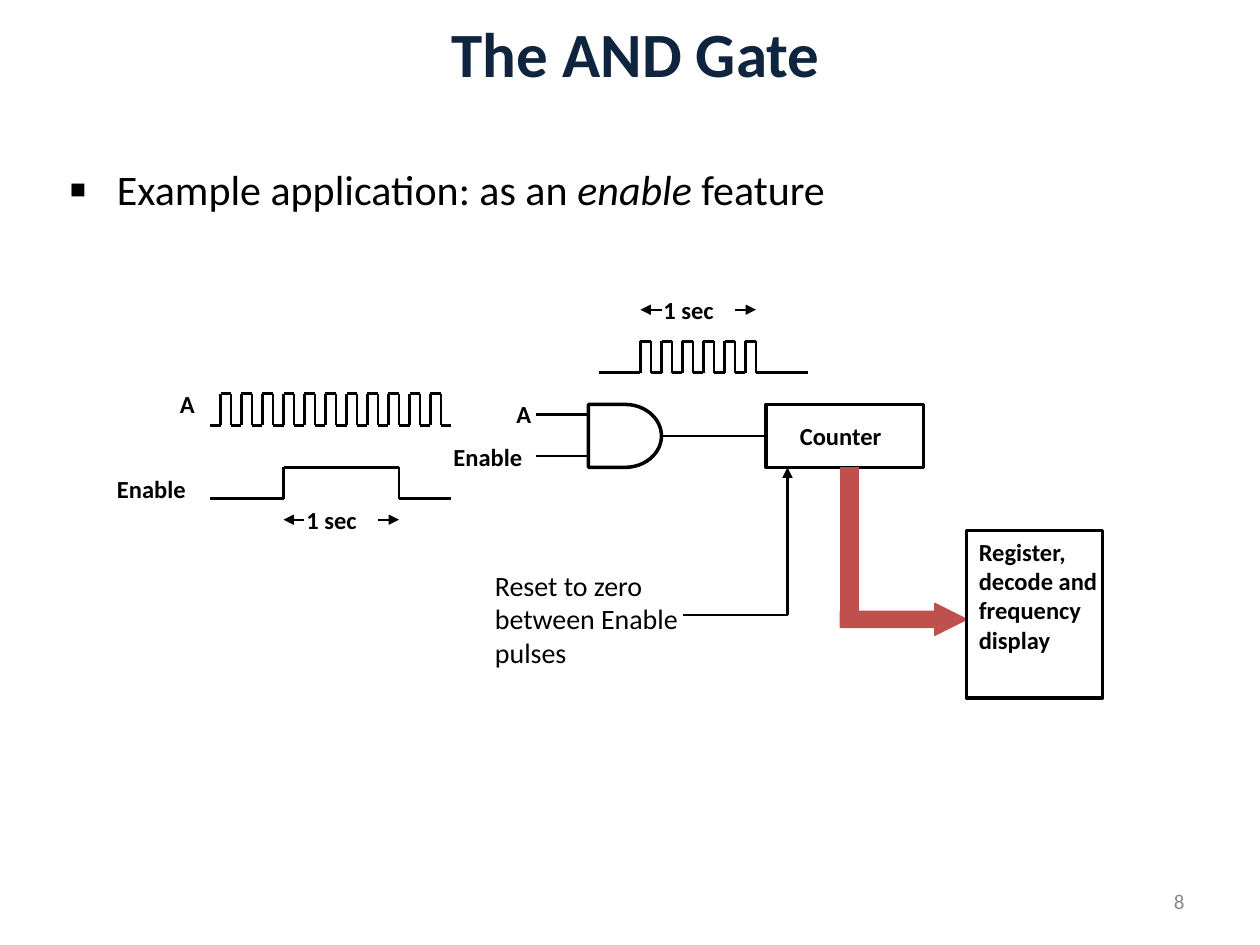
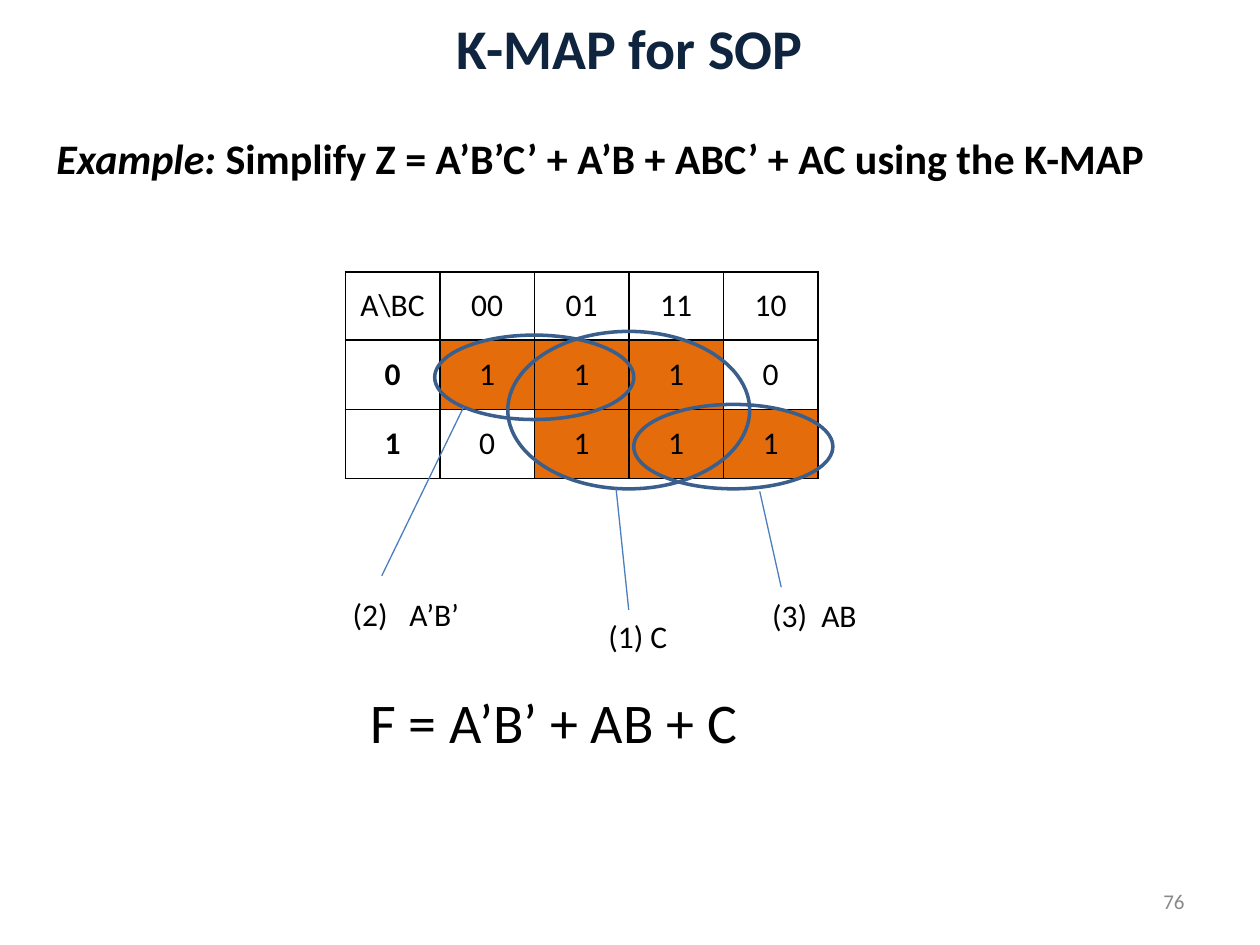
"""Build two digital logic slides: an AND gate as an enable, and a K-map."""
from dataclasses import dataclass

from lxml import etree
from pptx import Presentation
from pptx import util as u
from pptx.dml import color
from pptx.enum import shapes, text
from pptx.oxml import ns

FONT = "Calibri"
BLACK = color.RGBColor(0x00, 0x00, 0x00)
WHITE = color.RGBColor(0xFF, 0xFF, 0xFF)
NAVY = color.RGBColor(0x0F, 0x24, 0x3E)
GREY = color.RGBColor(0x89, 0x89, 0x89)
RED = color.RGBColor(0xC0, 0x50, 0x4D)
ORANGE = color.RGBColor(0xE4, 0x6C, 0x0A)
LOOP_BLUE = color.RGBColor(0x3A, 0x5F, 0x8C)
LEADER_BLUE = color.RGBColor(0x4B, 0x7E, 0xBC)
STEP = 1 / 12
PULSE_HEIGHT = 3
LEFT, CENTER, RIGHT = text.PP_ALIGN.LEFT, text.PP_ALIGN.CENTER, text.PP_ALIGN.RIGHT
KIND = shapes.MSO_SHAPE


@dataclass(frozen=True)
class Span:
    """A run of text with its own emphasis."""
    words: str
    bold: bool = False
    italic: bool = False


@dataclass(frozen=True)
class Label:
    """A text box: place in inches, spans, size in points."""
    place: tuple[float, float, float, float]
    spans: tuple[Span, ...]
    size: float = 14
    ink: color.RGBColor = BLACK
    align: text.PP_ALIGN = LEFT
    middle: bool = False
    tab: float = 0


@dataclass(frozen=True)
class Figure:
    """A preset shape: place in inches, outline and fill."""
    kind: shapes.MSO_SHAPE
    place: tuple[float, float, float, float]
    outline: color.RGBColor = BLACK
    weight: float = 2
    fill: color.RGBColor | None = None
    adjustments: tuple[float, ...] = ()


@dataclass(frozen=True)
class Wire:
    """Straight segments through points in inches, with an optional arrowhead."""
    points: tuple[tuple[float, float], ...]
    ink: color.RGBColor = BLACK
    weight: float = 1.5
    arrow: bool = False


@dataclass(frozen=True)
class PulseTrain:
    """A square wave measured in grid steps."""
    left: float
    first_rise: float
    right: float
    low: float
    count: int = 1
    width: float = 1


def inches(values) -> list[int]:
    """Convert numbers of inches to lengths."""
    return [u.Inches(value) for value in values]


def add_span(para, span: Span, size: float, ink: color.RGBColor) -> None:
    """Append one formatted run."""
    run = para.add_run()
    run.text = span.words
    font = run.font
    font.name, font.size = FONT, u.Pt(size)
    font.bold, font.italic = span.bold, span.italic
    font.color.rgb = ink


def add_label(page, label: Label):
    """Draw a text box and return its paragraph."""
    box = page.shapes.add_textbox(*inches(label.place))
    frame = box.text_frame
    frame.word_wrap = True
    if label.middle:
        frame.vertical_anchor = text.MSO_ANCHOR.MIDDLE
    para = frame.paragraphs[0]
    para.alignment = label.align
    if label.tab:
        stops = etree.SubElement(para._p.get_or_add_pPr(), ns.qn("a:tabLst"))
        etree.SubElement(stops, ns.qn("a:tab"), pos=str(u.Inches(label.tab)), algn="l")
    for span in label.spans:
        add_span(para, span, label.size, label.ink)
    return para


def add_figure(page, figure: Figure) -> None:
    """Draw a preset shape."""
    shape = page.shapes.add_shape(figure.kind, *inches(figure.place))
    shape.shadow.inherit = False
    if figure.fill is None:
        shape.fill.background()
    else:
        shape.fill.solid()
        shape.fill.fore_color.rgb = figure.fill
    shape.line.color.rgb = figure.outline
    shape.line.width = u.Pt(figure.weight)
    for index, value in enumerate(figure.adjustments):
        shape.adjustments[index] = value


def add_wire(page, wire: Wire) -> None:
    """Draw each segment of a wire, with any arrowhead on the last."""
    for start, end in zip(wire.points, wire.points[1:]):
        segment = page.shapes.add_connector(
            shapes.MSO_CONNECTOR.STRAIGHT, *inches(start + end))
        segment.line.color.rgb = wire.ink
        segment.line.width = u.Pt(wire.weight)
        properties = segment.element.spPr
        if wire.arrow and end == wire.points[-1]:
            outline = properties.find(ns.qn("a:ln"))
            etree.SubElement(outline, ns.qn("a:tailEnd"), type="triangle")
        etree.SubElement(properties, ns.qn("a:effectLst"))


def add_pulses(page, train: PulseTrain) -> None:
    """Draw a square wave."""
    low, high = train.low, train.low - PULSE_HEIGHT
    points = [(train.left, low)]
    for pulse in range(train.count):
        rise = train.first_rise + 2 * pulse * train.width
        fall = rise + train.width
        points += [(rise, low), (rise, high), (fall, high), (fall, low)]
    points.append((train.right, low))
    add_wire(page, Wire(tuple((x * STEP, y * STEP) for x, y in points)))


def add_duration(page, left: float, middle: float) -> None:
    """Mark an eleven-step interval as one second."""
    right, y = left + 11, middle * STEP
    for inner, outer in ((left + 2, left), (right - 2, right)):
        add_wire(page, Wire(((inner * STEP, y), (outer * STEP, y)), weight=1, arrow=True))
    place = ((left + 1) * STEP, (middle - 2) * STEP, 0.75, 0.33)
    add_label(page, Label(place, (Span("1 sec", bold=True),)))


def add_page(deck, title: str, place, size: float, number: int):
    """Add a slide with its title and page number."""
    page = deck.slides.add_slide(deck.slide_layouts[5])
    heading = page.shapes.title
    heading.left, heading.top, heading.width, heading.height = inches(place)
    heading.text_frame.vertical_anchor = text.MSO_ANCHOR.MIDDLE
    para = heading.text_frame.paragraphs[0]
    para.alignment = CENTER
    add_span(para, Span(title, bold=True), size, NAVY)
    add_label(page, Label((7.17, 6.95, 2.33, 0.4), (Span(str(number)),), 12,
                          GREY, RIGHT, middle=True))
    return page


def add_bullet(para) -> None:
    """Give a paragraph a square bullet and hanging indent."""
    properties = para._p.get_or_add_pPr()
    indent = u.Inches(0.38)
    properties.set("marL", str(indent))
    properties.set("indent", str(-indent))
    etree.SubElement(properties, ns.qn("a:buSzPct"), val="120000")
    etree.SubElement(properties, ns.qn("a:buFont"), typeface=FONT)
    etree.SubElement(properties, ns.qn("a:buChar"), char="▪")


def add_borders(cell) -> None:
    """Outline a cell with thin black lines."""
    properties = cell._tc.get_or_add_tcPr()
    for side in ("lnL", "lnR", "lnT", "lnB"):
        border = etree.SubElement(properties, ns.qn(f"a:{side}"), w=str(u.Pt(1)))
        paint = etree.SubElement(border, ns.qn("a:solidFill"))
        etree.SubElement(paint, ns.qn("a:srgbClr"), val=str(BLACK))


def add_kmap(page) -> None:
    """Draw the K-map, shading the cells that hold a one."""
    rows = (("A\\BC", "00", "01", "11", "10"),
            ("0", "1", "1", "1", "0"),
            ("1", "0", "1", "1", "1"))
    heights = (0.54, 0.55, 0.55)
    table = page.shapes.add_table(
        3, 5, *inches((2.74, 2.16, 3.75, sum(heights)))).table
    table.first_row = table.horz_banding = False
    for column in table.columns:
        column.width = u.Inches(0.75)
    for row, (height, values) in enumerate(zip(heights, rows)):
        table.rows[row].height = u.Inches(height)
        for column, value in enumerate(values):
            cell = table.cell(row, column)
            add_borders(cell)
            is_one = row > 0 and column > 0 and value == "1"
            cell.fill.solid()
            cell.fill.fore_color.rgb = ORANGE if is_one else WHITE
            cell.vertical_anchor = text.MSO_ANCHOR.MIDDLE
            para = cell.text_frame.paragraphs[0]
            para.alignment = CENTER
            add_span(para, Span(value, bold=row > 0 and column == 0), 18, BLACK)


def build_gate_page(deck) -> None:
    """Show the AND gate gating a frequency counter."""
    page = add_page(deck, "The AND Gate", (0.42, 0, 9.25, 0.83), 36, 8)
    add_bullet(add_label(page, Label(
        (0.45, 1.25, 8.3, 0.66),
        (Span("Example application: as an "), Span("enable ", italic=True),
         Span("feature")), 24)))
    for train in (PulseTrain(57, 61, 77, 35.5, count=6),
                  PulseTrain(20, 21, 43, 40.5, count=11),
                  PulseTrain(20, 27, 43, 47.5, width=11)):
        add_pulses(page, train)
    add_duration(page, 61, 29.5)
    add_duration(page, 27, 49.5)
    for figure in (
            Figure(KIND.FLOWCHART_DELAY, (4.67, 3.21, 0.58, 0.5)),
            Figure(KIND.RECTANGLE, (6.08, 3.21, 1.25, 0.5)),
            Figure(KIND.RECTANGLE, (6.67, 3.71, 0.14, 1.25), RED, 1, RED),
            Figure(KIND.RIGHT_ARROW, (6.67, 4.79, 1, 0.25), RED, 1, RED, (0.5, 1)),
            Figure(KIND.RECTANGLE, (7.67, 4.21, 1.08, 1.33))):
        add_figure(page, figure)
    for wire in (Wire(((4.25, 3.29), (4.67, 3.29))),
                 Wire(((4.25, 3.62), (4.67, 3.62))),
                 Wire(((5.25, 3.46), (6.08, 3.46))),
                 Wire(((5.42, 4.88), (6.25, 4.88), (6.25, 3.71)), arrow=True)):
        add_wire(page, wire)
    for words, place in (
            ("A", (1.33, 3.04, 0.33, 0.33)),
            ("Enable", (0.83, 3.71, 0.92, 0.33)),
            ("A", (4, 3.12, 0.33, 0.33)),
            ("Enable", (3.5, 3.46, 0.92, 0.33)),
            ("Counter", (6.25, 3.29, 1, 0.33)),
            ("Register, decode and frequency display", (7.67, 4.21, 1.17, 1.26))):
        add_label(page, Label(place, (Span(words, bold=True),)))
    add_label(page, Label((3.83, 4.46, 1.75, 0.9),
                          (Span("Reset to zero between Enable pulses"),), 16))


def build_kmap_page(deck) -> None:
    """Show a sum of products simplified with a K-map."""
    page = add_page(deck, "K-MAP for SOP", (0, 0, 10, 0.75), 32, 76)
    para = add_label(page, Label(
        (0.35, 1.05, 9.17, 0.66),
        (Span("Example: ", bold=True, italic=True),
         Span("Simplify Z = A’B’C’ + A’B + ABC’ + AC using the K-MAP", bold=True)), 24))
    para.line_spacing = 0.9
    add_kmap(page)
    for place in ((3.45, 2.66, 1.58, 0.67), (5.03, 3.21, 1.58, 0.67),
                  (4.03, 2.63, 1.92, 1.25)):
        add_figure(page, Figure(KIND.OVAL, place, LOOP_BLUE))
    for points in (((3.68, 3.23), (3.03, 4.57)), ((4.89, 3.88), (4.99, 4.84)),
                   ((6.03, 3.9), (6.2, 4.66))):
        add_wire(page, Wire(points, LEADER_BLUE, 0.75))
    for label in (Label((2.7, 4.67, 1.2, 0.4), (Span("(2)\tA’B’"),), 18, tab=0.45),
                  Label((4.73, 4.85, 0.8, 0.4), (Span("(1) C"),), 18),
                  Label((6.03, 4.68, 1, 0.4), (Span("(3)\tAB"),), 18, tab=0.39),
                  Label((2.84, 5.41, 4.27, 0.64), (Span("F = A’B’ + AB + C"),), 32)):
        add_label(page, label)


def main() -> None:
    """Build and save the deck."""
    deck = Presentation()
    deck.slide_width, deck.slide_height = inches((10, 7.5))
    build_gate_page(deck)
    build_kmap_page(deck)
    deck.save("out.pptx")


if __name__ == "__main__":
    main()
